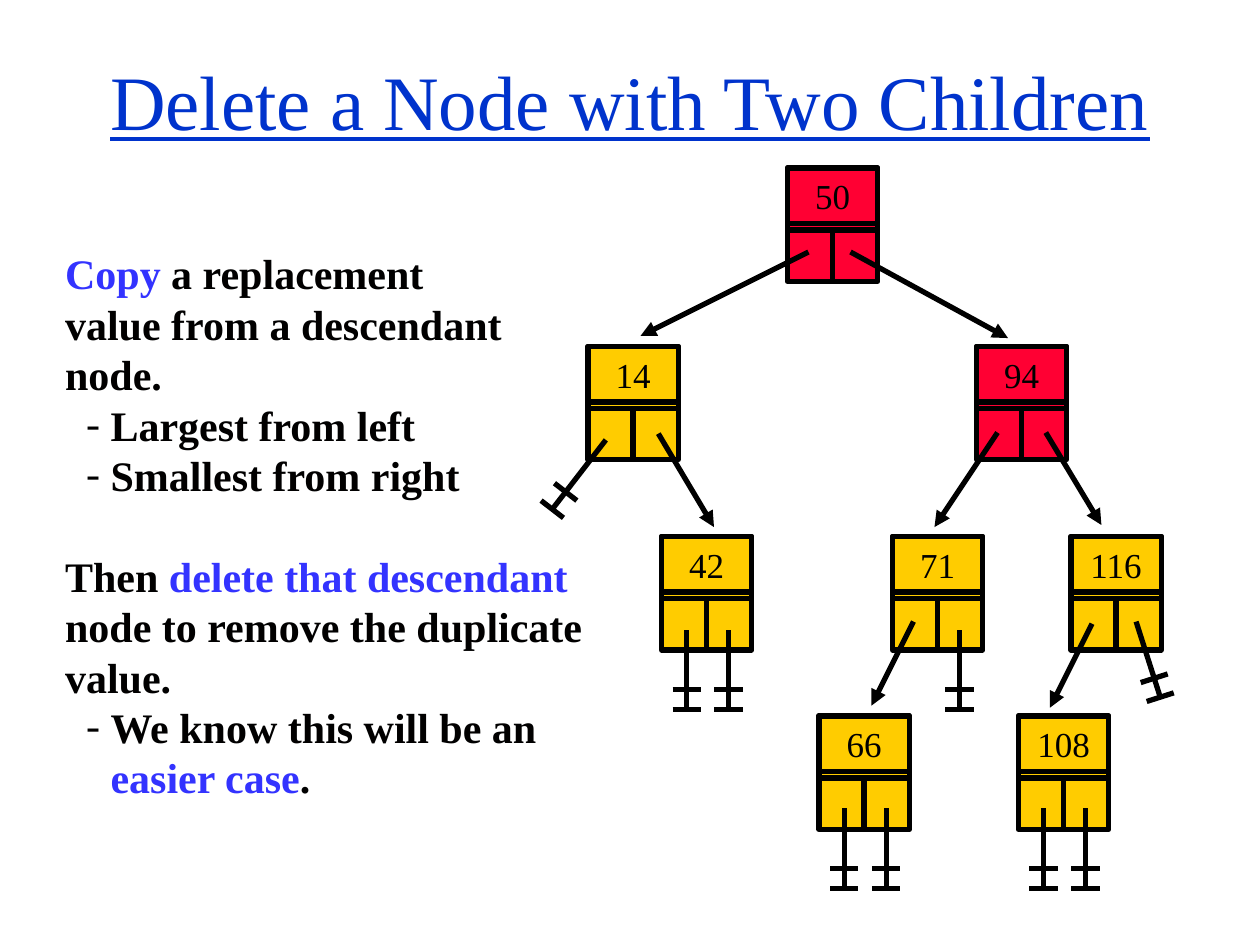
"""Build the slide on deleting a tree node that has two children."""
from math import hypot

from lxml.etree import SubElement
from pptx import Presentation
from pptx.dml.color import RGBColor
from pptx.enum.shapes import MSO_CONNECTOR, MSO_SHAPE
from pptx.enum.text import MSO_ANCHOR, MSO_AUTO_SIZE, PP_ALIGN
from pptx.oxml.ns import qn
from pptx.util import Inches, Pt

COLORS = {"title": "0033CC", "key": "3333FF", "text": "010000", "line": "000000",
          "path": "FF0033", "node": "FFCC00", "paper": "FFFFFF"}
FONT = "Times New Roman"
COLS, ROWS = 120, 90
UNIT = Inches(10) / COLS
LINE_PITCH = Pt(28.8)
NODE_W, VALUE_H, TOP_H, CELL_H = 8.6, 5.3, 5.9, 4.9
LEVELS = [16, 33, 51.1, 68.2]

NODES = [("50", 75, 0, "path"), ("14", 56, 1, "node"), ("94", 93, 1, "path"),
         ("42", 63, 2, "node"), ("71", 85, 2, "node"), ("116", 102, 2, "node"),
         ("66", 78, 3, "node"), ("108", 97, 3, "node")]
ARROWS = [(77, 24, 61, 32), (81, 24, 96, 32.2), (62.7, 41.3, 68, 50.2),
          (95, 41.2, 89, 50.2), (99.6, 41.2, 104.9, 50),
          (87, 59.2, 83, 67.2), (104, 59.4, 100, 67.4)]
SLANTED_NULLS = [(57.7, 41.9, 52.6, 48.5), (108.2, 59.2, 110.5, 66.4)]
UPRIGHT_NULLS = [(65.4, 60), (69.4, 60), (91.4, 60), (80.4, 77), (84.4, 77),
                 (99.4, 77), (103.4, 77)]

BODY = [
    (False, [("Copy", "key"),
             (" a replacement\vvalue from a descendant\vnode.", "text")]),
    (True, [("Largest from left", "text")]),
    (True, [("Smallest from right", "text")]),
    (False, [("Then ", "text"), ("delete that descendant", "key"),
             (" node to remove the duplicate value.", "text")]),
    (True, [("We know this will be an\v", "text"), ("easier case", "key"),
            (".", "text")]),
]


def grid(*vals):
    """Convert grid units to slide lengths."""
    return [round(v * UNIT) for v in vals]


def rgb(name):
    """Look up a named colour."""
    return RGBColor.from_string(COLORS[name])


def style(r, size, color, bold=False):
    """Format one run."""
    r.font.name, r.font.size, r.font.bold = FONT, Pt(size), bold
    r.font.color.rgb = rgb(color)


def place(sp, *box):
    """Move a shape to a box given in grid units."""
    sp.left, sp.top, sp.width, sp.height = grid(*box)


def add_title(s, text):
    """Fill the title placeholder."""
    sp = s.shapes.title
    place(sp, 9, 5, 102, 9)
    tf = sp.text_frame
    tf.text = text
    tf.auto_size, tf.vertical_anchor = MSO_AUTO_SIZE.NONE, MSO_ANCHOR.MIDDLE
    p = tf.paragraphs[0]
    p.alignment = PP_ALIGN.CENTER
    style(p.runs[0], 44, "title")
    p.runs[0].font.underline = True


def set_bullet(p, bulleted):
    """Give a paragraph a hanging dash, or no bullet at all."""
    pPr = p._p.get_or_add_pPr()
    pPr.set("marL", str(Pt(26) if bulleted else 0))
    pPr.set("indent", str(Pt(-14) if bulleted else 0))
    if bulleted:
        SubElement(pPr, qn("a:buFont"), typeface=FONT)
        SubElement(pPr, qn("a:buChar"), char="-")
    else:
        SubElement(pPr, qn("a:buNone"))


def add_body(s):
    """Fill the body placeholder with the deletion steps."""
    sp = s.placeholders[1]
    place(sp, 5, 23, 55, 59)
    sp.fill.solid()
    sp.fill.fore_color.rgb = rgb("paper")
    tf = sp.text_frame
    tf.auto_size = MSO_AUTO_SIZE.NONE
    for i, (bulleted, parts) in enumerate(BODY):
        p = tf.paragraphs[0] if i == 0 else tf.add_paragraph()
        set_bullet(p, bulleted)
        p.line_spacing = LINE_PITCH
        p.space_before = LINE_PITCH if i and not bulleted else Pt(0)
        p.space_after = Pt(0)
        for text, color in parts:
            for j, piece in enumerate(text.split("\v")):
                if j:
                    p.add_line_break()
                if piece:
                    r = p.add_run()
                    r.text = piece
                    style(r, 24, color, bold=True)


def add_box(shapes, color, *box):
    """Add an outlined rectangle."""
    sp = shapes.add_shape(MSO_SHAPE.RECTANGLE, *grid(*box))
    sp.shadow.inherit = False
    sp.fill.solid()
    sp.fill.fore_color.rgb = rgb(color)
    sp.line.color.rgb = rgb("line")
    sp.line.width = Pt(3)
    return sp


def add_node(s, value, x, level, color):
    """Add a tree node: a value box above two pointer cells."""
    shapes, y, half = s.shapes.add_group_shape().shapes, LEVELS[level], NODE_W / 2
    add_box(shapes, color, x, y, NODE_W, TOP_H)
    for i in range(2):
        add_box(shapes, color, x + i * half, y + TOP_H, half, CELL_H)
    tf = add_box(shapes, color, x, y, NODE_W, VALUE_H).text_frame
    tf.text = value
    tf.vertical_anchor = MSO_ANCHOR.MIDDLE
    p = tf.paragraphs[0]
    p.alignment = PP_ALIGN.CENTER
    style(p.runs[0], 20, "line")


def add_line(shapes, *ends, arrow=False):
    """Add a straight line, with an arrowhead at its end if asked."""
    ln = shapes.add_connector(MSO_CONNECTOR.STRAIGHT, *grid(*ends))
    ln.line.color.rgb = rgb("line")
    ln.line.width = Pt(3)
    if arrow:
        SubElement(ln.line._get_or_add_ln(), qn("a:tailEnd"), type="triangle")
    SubElement(ln._element.spPr, qn("a:effectLst"))


def add_null(s, x1, y1, x2, y2):
    """Add a null pointer: a stem crossed by two bars."""
    shapes = s.shapes.add_group_shape().shapes
    add_line(shapes, x1, y1, x2, y2)
    dx, dy = x2 - x1, y2 - y1
    k = 1.35 / hypot(dx, dy)
    for share in (0.75, 1):
        x, y = x1 + share * dx, y1 + share * dy
        add_line(shapes, x - k * dy, y + k * dx, x + k * dy, y - k * dx)


def main():
    """Build and save the slide."""
    prs = Presentation()
    prs.slide_width, prs.slide_height = grid(COLS, ROWS)
    s = prs.slides.add_slide(prs.slide_layouts[1])
    add_title(s, "Delete a Node with Two Children")
    add_body(s)
    for node in NODES:
        add_node(s, *node)
    for ends in ARROWS:
        add_line(s.shapes, *ends, arrow=True)
    for ends in SLANTED_NULLS + [(x, y, x, y + 7.6) for x, y in UPRIGHT_NULLS]:
        add_null(s, *ends)
    prs.save("out.pptx")


if __name__ == "__main__":
    main()
